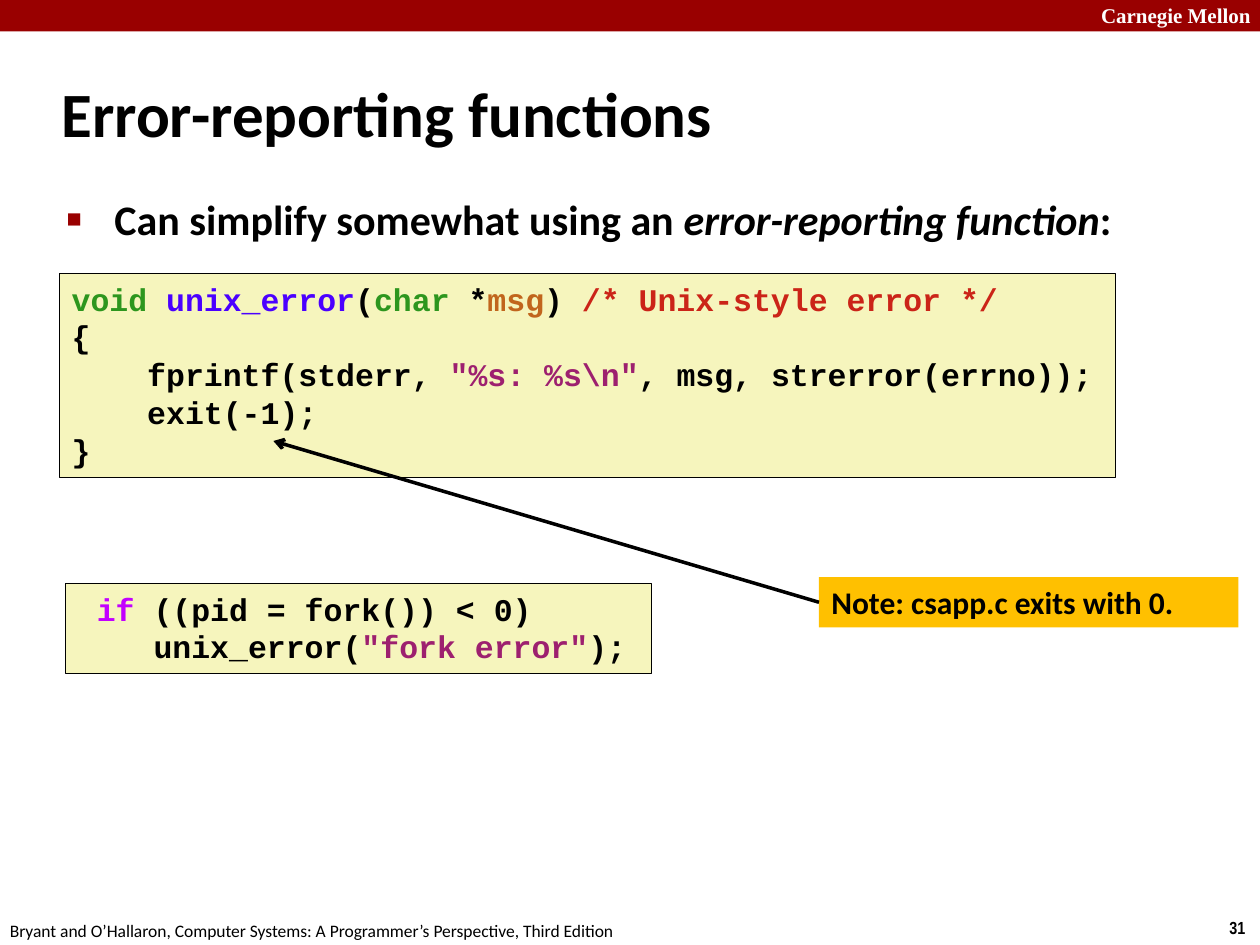
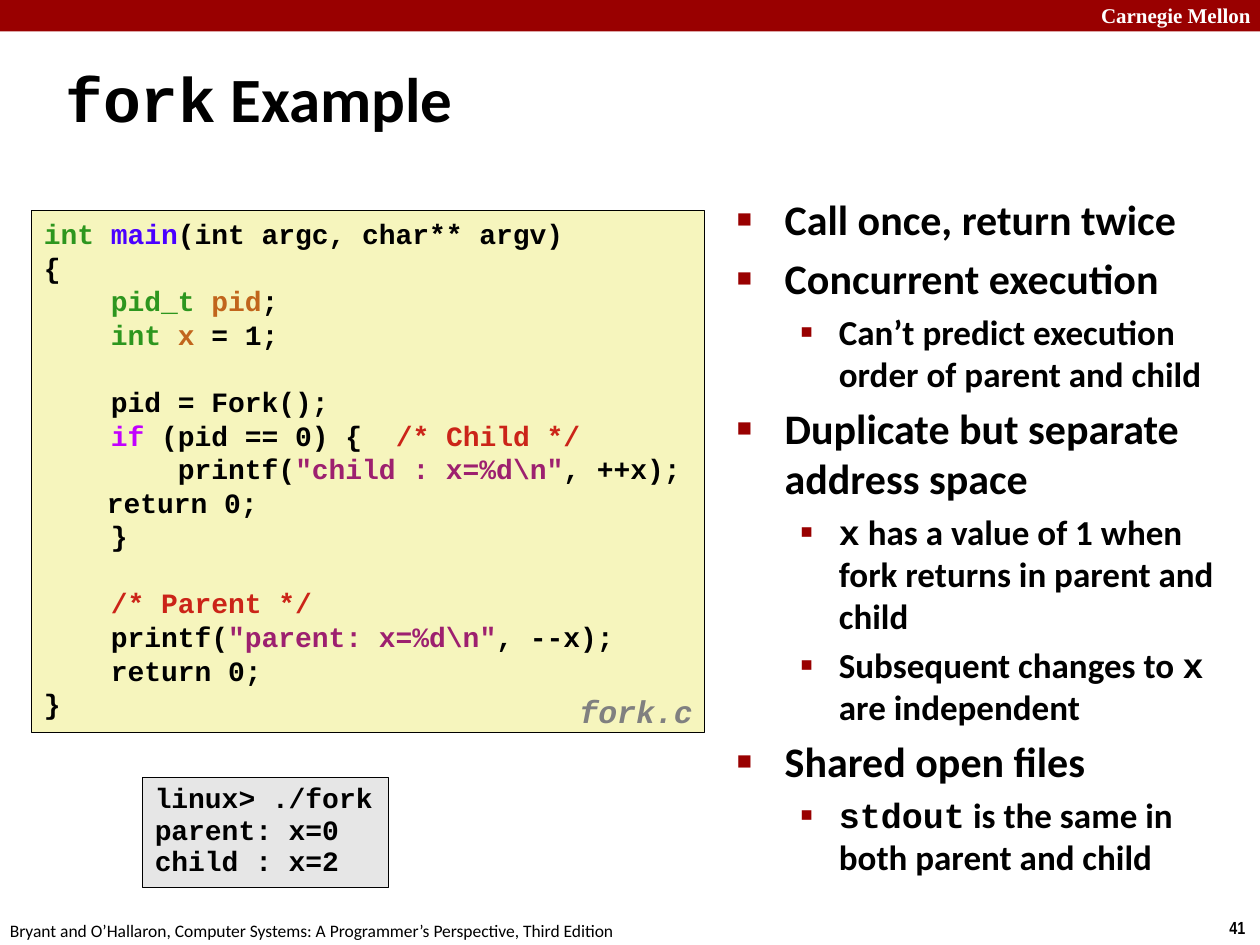
import dataclasses
import pptx
import pptx.dml.color
import pptx.enum.shapes
import pptx.enum.text
import pptx.oxml.ns
import pptx.util
from lxml import etree

COLS, ROWS = 100, 75
WIDTH, HEIGHT = pptx.util.Inches(10), pptx.util.Inches(7.5)
SHAPE = pptx.enum.shapes.MSO_SHAPE
ANCHOR = pptx.enum.text.MSO_ANCHOR
LEFT = pptx.enum.text.PP_ALIGN.LEFT
qn = pptx.oxml.ns.qn


class Theme:
    # Fonts
    sans, mono, serif, narrow = "Calibri", "Courier New", "Times New Roman", "Arial Narrow"
    # Type sizes
    title, body, sub, code, small_code, brand, footer = 36, 24, 20, 18, 16, 12, 10
    # Colours
    black, white, red = "000000", "FFFFFF", "990000"
    panel, output, note, grey = "F6F5BD", "E6E6E6", "FFC000", "808080"
    # Syntax colours
    syntax = {"type": "2D961E", "func": "4A00FF", "var": "C1651C",
              "comment": "CB2418", "string": "9D206F", "keyword": "C200FF"}
    # Bullets by level: character, size %, left margin, hang, type size
    bullets = [("■", 60, 0.38, 0.38, body), ("▪", 110, 0.81, 0.31, sub)]


@dataclasses.dataclass
class Box:
    """A rectangle measured in grid columns and rows."""
    x: float
    y: float
    w: float
    h: float

    def area(self, x, y, w, h):
        return Box(self.x + x, self.y + y, w, h)

    def point(self, x, y):
        return int(WIDTH * (self.x + x) / COLS), int(HEIGHT * (self.y + y) / ROWS)

    def emu(self):
        return *self.point(0, 0), int(WIDTH * self.w / COLS), int(HEIGHT * self.h / ROWS)


PAGE = Box(0, 0, COLS, ROWS)
BODY = Box(2.5, 14.9, 96.7, 56.8)


def rgb(value):
    return pptx.dml.color.RGBColor.from_string(value)


# Text helpers
def add_run(p, text, size, font=Theme.sans, color=Theme.black, bold=True, italic=False):
    r = p.add_run()
    r.text = text
    f = r.font
    f.size, f.name, f.bold, f.italic = pptx.util.Pt(size), font, bold, italic
    f.color.rgb = rgb(color)


def paragraphs(tf, count):
    return [tf.paragraphs[0]] + [tf.add_paragraph() for _ in range(count - 1)]


def text_box(s, box, anchor=ANCHOR.TOP):
    tf = s.shapes.add_textbox(*box.emu()).text_frame
    tf.word_wrap = True
    tf.vertical_anchor = anchor
    return tf


def label(s, box, text, size, **style):
    add_run(text_box(s, box).paragraphs[0], text, size, **style)


def rectangle(s, box, fill, outlined=False):
    sp = s.shapes.add_shape(SHAPE.RECTANGLE, *box.emu())
    sp.shadow.inherit = False
    sp.fill.solid()
    sp.fill.fore_color.rgb = rgb(fill)
    if outlined:
        sp.line.color.rgb = rgb(Theme.black)
        sp.line.width = pptx.util.Pt(0.25)
    else:
        sp.line.fill.background()
    tf = sp.text_frame
    tf.word_wrap = True
    tf.vertical_anchor = ANCHOR.TOP
    tf.paragraphs[0].alignment = LEFT
    return sp


# Top band, source line and page number
def frame(s, box, number):
    rectangle(s, box.area(0, 0, box.w, 2.5), Theme.red)
    label(s, box.area(86.4, -0.3, 14.3, 3), "Carnegie Mellon", Theme.brand,
          font=Theme.serif, color=Theme.white)
    label(s, box.area(96.6, 72.3, 3.6, 2.7), str(number), Theme.footer, font=Theme.narrow)
    label(s, box.area(-0.2, 72.5, 51, 2.7),
          "Bryant and O’Hallaron, Computer Systems: A Programmer’s Perspective, Third Edition",
          Theme.footer, bold=False)


def title(s, box, *pieces):
    p = text_box(s, box, ANCHOR.MIDDLE).paragraphs[0]
    for text, font in pieces:
        add_run(p, text, Theme.title, font=font)


# Code: a line is a list of plain strings and (text, syntax role) pairs
def code_panel(s, box, lines, size, fill=Theme.panel, spacing=None):
    tf = rectangle(s, box, fill, outlined=True).text_frame
    for p, line in zip(paragraphs(tf, len(lines)), lines):
        p.alignment = LEFT
        if spacing:
            p.line_spacing = spacing
        for token in line:
            text, role = (token, None) if isinstance(token, str) else token
            add_run(p, text, size, font=Theme.mono,
                    color=Theme.syntax.get(role, Theme.black))
        if not line:
            end = etree.SubElement(p._p, qn("a:endParaRPr"), sz=str(size * 100))
            etree.SubElement(end, qn("a:latin"), typeface=Theme.mono)


# Bullets: an item is a level and its (text, run style) pairs
def set_bullet(p, char, percent, margin, hang):
    pPr = p._p.get_or_add_pPr()
    pPr.set("marL", str(pptx.util.Inches(margin)))
    pPr.set("indent", str(-pptx.util.Inches(hang)))
    color = etree.SubElement(pPr, qn("a:buClr"))
    etree.SubElement(color, qn("a:srgbClr"), val=Theme.red)
    etree.SubElement(pPr, qn("a:buSzPct"), val=str(percent * 1000))
    etree.SubElement(pPr, qn("a:buFont"), typeface="Arial")
    etree.SubElement(pPr, qn("a:buChar"), char=char)


def bullet_list(s, box, items):
    tf = text_box(s, box)
    for i, (p, (level, runs)) in enumerate(zip(paragraphs(tf, len(items)), items)):
        *bullet, size = Theme.bullets[level]
        set_bullet(p, *bullet)
        p.level = level
        if i:
            p.space_before = pptx.util.Pt(size * 0.2)
        for text, style in runs:
            add_run(p, text, size, **style)


# Note with an arrow from its left side to a target point
def callout(s, box, text, target):
    note = rectangle(s, box, Theme.note)
    add_run(note.text_frame.paragraphs[0], text, Theme.code)
    arrow = s.shapes.add_connector(pptx.enum.shapes.MSO_CONNECTOR.STRAIGHT,
                                   *box.point(0, box.h / 2), *target)
    arrow.begin_connect(note, 1)
    arrow.line.color.rgb = rgb(Theme.black)
    arrow.line.width = pptx.util.Pt(2)
    spPr = arrow._element.spPr
    etree.SubElement(spPr.find(qn("a:ln")), qn("a:tailEnd"), type="arrow")
    etree.SubElement(spPr, qn("a:effectLst"))


UNIX_ERROR = [
    [("void ", "type"), ("unix_error", "func"), "(", ("char", "type"), " *",
     ("msg", "var"), ") ", ("/* Unix-style error */", "comment")],
    ["{"],
    ["    fprintf(stderr, ", (r'"%s: %s\n"', "string"), ", msg, strerror(errno));"],
    ["    exit(-1);"],
    ["}"],
]
FORK_CALL = [
    [" ", ("if", "keyword"), " ((pid = fork()) < 0)"],
    ["    unix_error(", ('"fork error"', "string"), ");"],
]
FORK_MAIN = [
    [("int ", "type"), ("main", "func"), "(int argc, char** argv)"],
    ["{"],
    ["    ", ("pid_t ", "type"), ("pid", "var"), ";"],
    ["    ", ("int ", "type"), ("x", "var"), " = 1;"],
    [],
    ["    pid = Fork();"],
    ["    ", ("if", "keyword"), " (pid == 0) {  ", ("/* Child */", "comment")],
    ["        printf(", (r'"child : x=%d\n"', "string"), ", ++x);"],
    ["\treturn 0;"],
    ["    }"],
    [],
    ["    ", ("/* Parent */", "comment")],
    ["    printf(", (r'"parent: x=%d\n"', "string"), ", --x);"],
    ["    return 0;"],
    ["}"],
]
FORK_OUTPUT = [["linux> ./fork"], ["parent: x=0"], ["child : x=2"]]
MONO = {"font": Theme.mono}
FORK_POINTS = [
    (0, [("Call once, return twice", {})]),
    (0, [("Concurrent execution", {})]),
    (1, [("Can’t predict execution order of parent and child", {})]),
    (0, [("Duplicate but separate address space", {})]),
    (1, [("x", MONO), (" has a value of 1 when fork returns in parent and child", {})]),
    (1, [("Subsequent changes to ", {}), ("x", MONO), (" are independent", {})]),
    (0, [("Shared open files", {})]),
    (1, [("stdout", MONO), (" is the same in both parent and child", {})]),
]


def error_reporting_slide(s, box):
    title(s, PAGE.area(3.9, 4.8, 83, 8.3), ("Error-reporting functions", Theme.sans))
    bullet_list(s, box.area(1.8, 0, 86.4, 5.1), [
        (0, [("Can simplify somewhat using an ", {}),
             ("error-reporting function", {"italic": True}), (":", {})])])
    code_panel(s, box.area(2.2, 6.8, 83.8, 16.2), UNIX_ERROR, Theme.code)
    code_panel(s, box.area(2.7, 31.4, 46.5, 7.1), FORK_CALL, Theme.code)
    callout(s, box.area(62.5, 30.9, 33.3, 4), "Note: csapp.c exits with 0.",
            box.point(19.2, 20.1))


def fork_example_slide(s, box):
    title(s, PAGE.area(4.2, 4.6, 62.3, 6.3), ("fork", Theme.mono), (" Example", Theme.sans))
    code_panel(s, box.area(0, 1.8, 53.4, 41.4), FORK_MAIN, Theme.small_code)
    code_panel(s, box.area(8.8, 46.8, 19.5, 8.7), FORK_OUTPUT, Theme.small_code,
               fill=Theme.output, spacing=0.94)
    label(s, box.area(42.5, 39.5, 11.7, 3.9), "fork.c", Theme.code,
          font=Theme.mono, color=Theme.grey, italic=True)
    bullet_list(s, box.area(55, 0, 41.7, box.h), FORK_POINTS)


def main():
    prs = pptx.Presentation()
    prs.slide_width, prs.slide_height = WIDTH, HEIGHT
    for number, build in ((31, error_reporting_slide), (41, fork_example_slide)):
        s = prs.slides.add_slide(prs.slide_layouts[6])
        frame(s, PAGE, number)
        build(s, BODY)
    prs.save("out.pptx")


if __name__ == "__main__":
    main()
